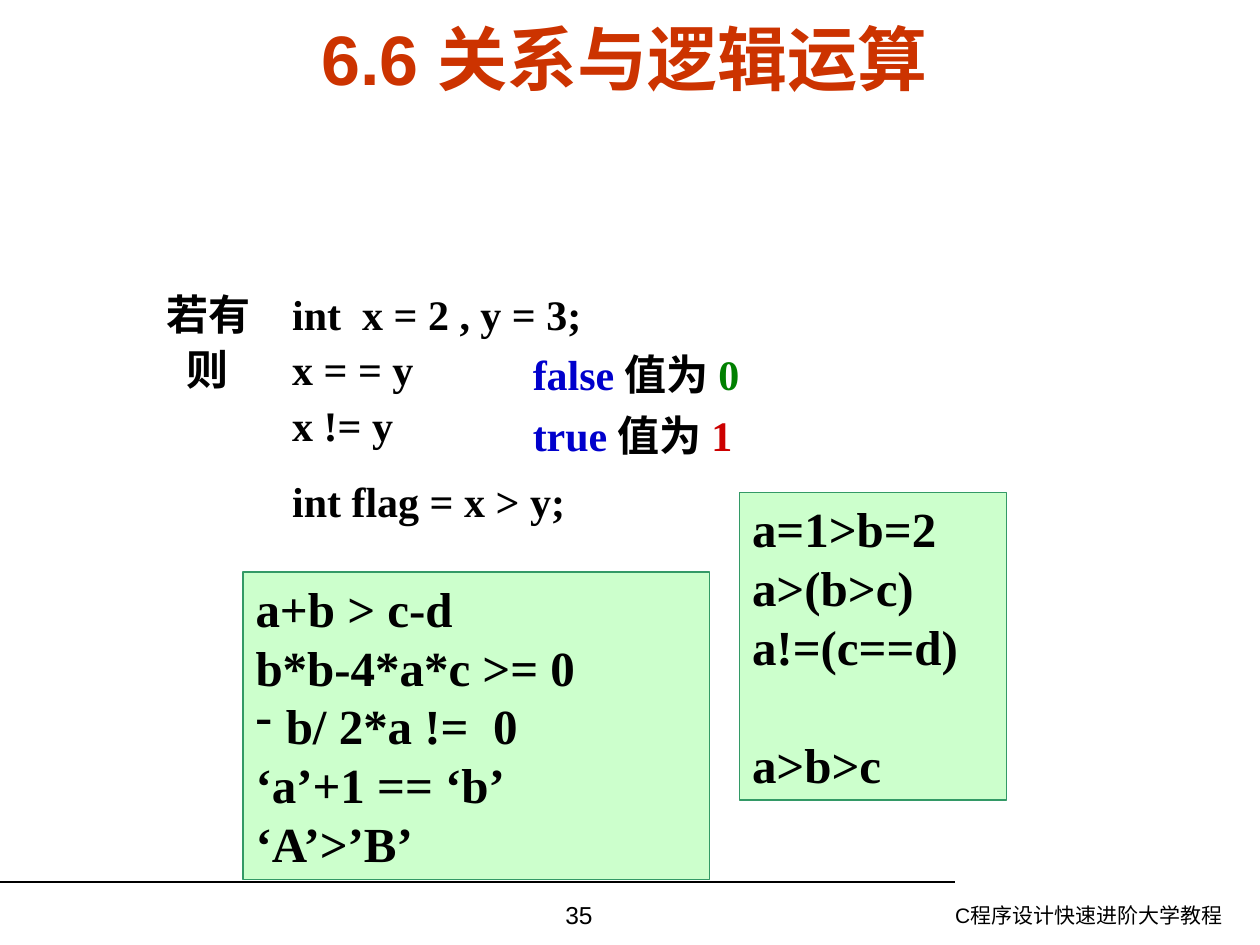
from lxml.etree import SubElement
from pptx import Presentation
from pptx.dml.color import RGBColor
from pptx.enum.shapes import MSO_CONNECTOR, MSO_SHAPE
from pptx.enum.text import MSO_ANCHOR, PP_ALIGN
from pptx.oxml.ns import qn
from pptx.util import Inches, Pt

COLORS = {
    "title": "CC3300", "text": "000000", "keyword": "0000CC", "zero": "008000",
    "one": "CC0000", "panel": "CCFFCC", "border": "339966",
}
SERIF = {"name": "Times New Roman", "bold": True, "size": Pt(24)}
CODE = {**SERIF, "size": Pt(28)}
TITLE = {"name": "Arial", "bold": True, "size": Pt(40)}


def color(name):
    """Return a named colour of the slide."""
    return RGBColor.from_string(COLORS[name])


def apply(target, values):
    """Set each attribute of a format dict on the target."""
    for name, value in values.items():
        setattr(target, name, value)


def write(para, spans, style):
    """Fill a paragraph with (text, colour name) spans in one style."""
    for text, name in spans:
        span = para.add_run()
        span.text = text
        apply(span.font, style)
        span.font.color.rgb = color(name)


def add_text(page, box, spans, style, align=PP_ALIGN.LEFT, anchor=MSO_ANCHOR.TOP):
    """Place a one-line text box."""
    frame = page.shapes.add_textbox(*map(Inches, box)).text_frame
    apply(frame, {"word_wrap": True, "vertical_anchor": anchor})
    para = frame.paragraphs[0]
    para.alignment = align
    write(para, spans, style)


def add_title(page, box, text):
    """Move and format the title placeholder."""
    title = page.shapes.title
    apply(title, dict(zip(("left", "top", "width", "height"), map(Inches, box))))
    frame = title.text_frame
    apply(frame, {"word_wrap": True, "vertical_anchor": MSO_ANCHOR.MIDDLE,
                  "margin_left": 0, "margin_right": 0, "margin_top": 0, "margin_bottom": 0})
    frame.paragraphs[0].alignment = PP_ALIGN.CENTER
    write(frame.paragraphs[0], [(text, "title")], TITLE)


def add_example(page, box):
    """Place the declarations and comparisons, aligned at two tab stops."""
    frame = page.shapes.add_textbox(*map(Inches, box)).text_frame
    apply(frame, {"word_wrap": True, "margin_top": Inches(0.43)})
    lines = [
        ("若有\tint  x = 2 , y = 3;", {}),
        ("\t则\tx = = y", {"line_spacing": 1.1}),
        ("\t\tx != y", {"line_spacing": 1.1}),
        ("\t\tint flag = x > y;", {"space_before": Pt(15)}),
    ]
    for index, (text, spacing) in enumerate(lines):
        para = frame.add_paragraph() if index else frame.paragraphs[0]
        apply(para, spacing)
        stops = SubElement(para._p.get_or_add_pPr(), qn("a:tabLst"))
        for position in (0.16, 1):
            SubElement(stops, qn("a:tab"), pos=str(Inches(position)), algn="l")
        write(para, [(text, "text")], SERIF)


def add_panel(page, box, lines, bullet_line=None, gap_line=None):
    """Place a green panel of expressions with an optional dash and gap."""
    panel = page.shapes.add_shape(MSO_SHAPE.RECTANGLE, *map(Inches, box))
    panel.shadow.inherit = False
    panel.fill.solid()
    panel.fill.fore_color.rgb = color("panel")
    panel.line.color.rgb = color("border")
    panel.line.width = Pt(0.75)
    frame = panel.text_frame
    apply(frame, {"word_wrap": True, "vertical_anchor": MSO_ANCHOR.TOP})
    for index, text in enumerate(lines):
        para = frame.add_paragraph() if index else frame.paragraphs[0]
        para.alignment = PP_ALIGN.LEFT
        if index == gap_line:
            para.space_before = Pt(33.6)
        if index == bullet_line:
            properties = para._p.get_or_add_pPr()
            properties.set("marL", str(Inches(0.24)))
            properties.set("indent", str(Inches(-0.24)))
            SubElement(properties, qn("a:buChar"), char="-")
        write(para, [(text, "text")], CODE)


def add_footer(page, box):
    """Place the rule, page number and book name in the footer band."""
    left, top, width, height = box
    rule = page.shapes.add_connector(
        MSO_CONNECTOR.STRAIGHT, *map(Inches, (left, top, left + 7.58, top)))
    rule.line.color.rgb = color("text")
    rule.line.width = Pt(0.75)
    SubElement(rule._element.spPr, qn("a:effectLst"))
    add_text(page, (left + 6.57, top + 0.11, 3.23, 0.39),
             [("C程序设计快速进阶大学教程", "text")],
             {"name": "Arial", "size": Pt(12)}, PP_ALIGN.RIGHT)
    add_text(page, (left + 3.43, top + 0.09, 2.33, 0.41), [("35", "text")],
             {"name": "Arial", "size": Pt(14)}, PP_ALIGN.CENTER)


def main():
    """Build the slide and save the deck."""
    deck = Presentation()
    deck.slide_width, deck.slide_height = Inches(10), Inches(7.5)
    page = deck.slides.add_slide(deck.slide_layouts[5])
    add_footer(page, (0, 7, 10, 0.5))
    add_title(page, (0.43, 0.21, 9.05, 0.5), "6.6 关系与逻辑运算")
    add_example(page, (1.22, 1.86, 6.69, 2.79))
    results = [("false ", "0", "zero"), ("true ", "1", "one")]
    for row, (word, value, name) in enumerate(results):
        add_text(page, (4.13, 2.72 + 0.48 * row, 2.21, 0.5),
                 [(word, "keyword"), ("值为 ", "text"), (value, name)],
                 SERIF, anchor=MSO_ANCHOR.MIDDLE)
    add_panel(page, (1.93, 4.54, 3.7, 2.44),
              ["a+b > c-d", "b*b-4*a*c >= 0", "b/ 2*a !=  0", "‘a’+1 == ‘b’", "‘A’>’B’"],
              bullet_line=2)
    add_panel(page, (5.87, 3.91, 2.12, 2.44),
              ["a=1>b=2", "a>(b>c)", "a!=(c==d)", "a>b>c"], gap_line=3)
    deck.save("out.pptx")


if __name__ == "__main__":
    main()
